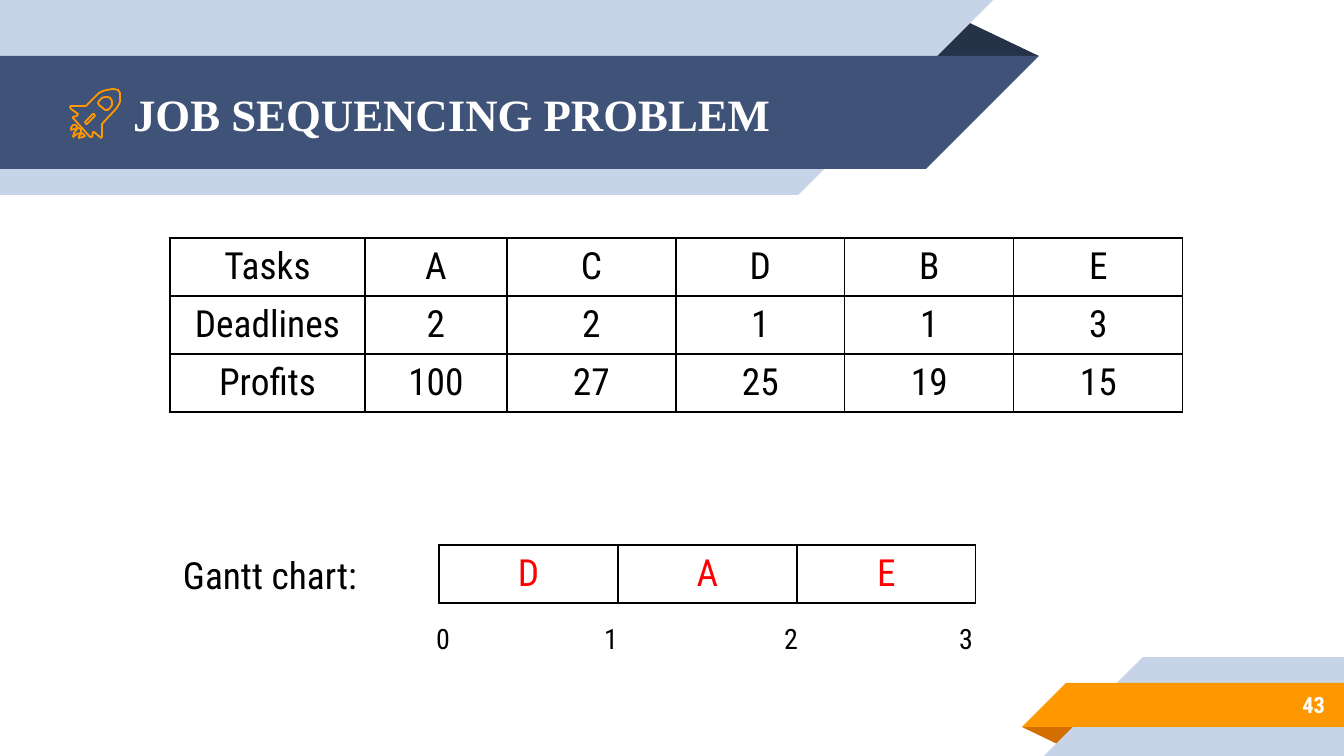
from dataclasses import dataclass

from lxml import etree
from pptx import Presentation
from pptx.dml.color import RGBColor
from pptx.enum.shapes import MSO_SHAPE
from pptx.enum.text import MSO_ANCHOR, MSO_AUTO_SIZE, PP_ALIGN
from pptx.oxml.ns import qn
from pptx.shapes.autoshape import Shape
from pptx.slide import Slide
from pptx.text.text import TextFrame
from pptx.util import Pt

RECTANGLE, TRIANGLE = MSO_SHAPE.RECTANGLE, MSO_SHAPE.ISOSCELES_TRIANGLE
RIGHT_TRIANGLE = MSO_SHAPE.RIGHT_TRIANGLE
LEFT, CENTER, RIGHT = PP_ALIGN.LEFT, PP_ALIGN.CENTER, PP_ALIGN.RIGHT
TOP, MIDDLE = MSO_ANCHOR.TOP, MSO_ANCHOR.MIDDLE

BLACK = RGBColor(0x00, 0x00, 0x00)
WHITE = RGBColor(0xFF, 0xFF, 0xFF)
RED = RGBColor(0xFF, 0x00, 0x00)
PALE_BLUE = RGBColor(0xC7, 0xD3, 0xE6)
NAVY = RGBColor(0x3F, 0x53, 0x78)
DARK_NAVY = RGBColor(0x26, 0x32, 0x48)
ORANGE = RGBColor(0xFF, 0x98, 0x00)
DARK_ORANGE = RGBColor(0xD2, 0x6F, 0x00)

BODY_FONT, TITLE_FONT = "Roboto Condensed", "Times New Roman"
EMU_PER_PX = 9144000 / 1344
INSET = 13
ROW_HEIGHT = 58
TITLE_ONLY = 5


@dataclass(frozen=True)
class Box:
    left: int
    top: int
    width: int
    height: int


@dataclass(frozen=True)
class Ribbon:
    """A band whose slanted end is a right triangle as wide as it is high."""
    box: Box
    color: RGBColor
    slant_on_right: bool


@dataclass(frozen=True)
class Fold:
    box: Box
    color: RGBColor
    rotation: int


@dataclass(frozen=True)
class TextStyle:
    size: int
    color: RGBColor = BLACK
    font: str = BODY_FONT
    bold: bool = False
    align: PP_ALIGN = LEFT


TITLE_FOLD = Fold(Box(925, 19, 114, 37), DARK_NAVY, 0)
TITLE_RIBBONS = [
    Ribbon(Box(0, 0, 798, 195), PALE_BLUE, True),
    Ribbon(Box(0, 56, 926, 113), NAVY, True),
]
CORNER_FOLD = Fold(Box(1022, 727, 58, 19), DARK_ORANGE, 180)
CORNER_RIBBONS = [
    Ribbon(Box(1143, 657, 201, 99), PALE_BLUE, False),
    Ribbon(Box(1066, 683, 278, 44), ORANGE, False),
]

# Each rocket part is a list of closed contours
Contour = list[tuple[int, int]]
ROCKET_PARTS: list[list[Contour]] = [
    [  # body, slot and window
        [(102, 137), (102, 124), (116, 109), (118, 106), (120, 102), (120, 93),
         (118, 90), (113, 89), (107, 90), (103, 91), (99, 93), (86, 106),
         (71, 106), (70, 107), (71, 109), (78, 114), (77, 116), (73, 117),
         (73, 118), (90, 137), (92, 137), (93, 132), (94, 132), (101, 138)],
        [(87, 124), (86, 124), (85, 122), (86, 121), (93, 114), (94, 114),
         (95, 116), (94, 117)],
        [(108, 110), (105, 110), (99, 105), (98, 103), (99, 101), (102, 98),
         (105, 97), (108, 97), (110, 98), (112, 101), (112, 105), (110, 108)],
    ],
    # flames
    [[(81, 129), (78, 128), (77, 129), (74, 133), (73, 137), (77, 134),
      (81, 133), (81, 130)]],
    [[(83, 134), (82, 133), (81, 134), (79, 136), (79, 138), (83, 137), (85, 136)]],
    [[(75, 125), (73, 125), (71, 128), (71, 130), (75, 129), (77, 128), (77, 126)]],
]

TASK_ROWS = [
    ["Tasks", "A", "C", "D", "B", "E"],
    ["Deadlines", "2", "2", "1", "1", "3"],
    ["Profits", "100", "27", "25", "19", "15"],
]
# The schedule is stacked from an empty frame and one layer per job
GANTT_LAYERS = [["", "", ""], ["", "A", ""], ["D", "", ""], ["", "", "E"]]
TICK_STOPS = (168, 348, 523)


def px(length: int) -> int:
    return round(length * EMU_PER_PX)


def place(box: Box) -> tuple[int, int, int, int]:
    return px(box.left), px(box.top), px(box.width), px(box.height)


def add_solid(slide: Slide, kind: MSO_SHAPE, box: Box, color: RGBColor,
              rotation: int = 0) -> Shape:
    shape = slide.shapes.add_shape(kind, *place(box))
    shape.shadow.inherit = False
    shape.fill.solid()
    shape.fill.fore_color.rgb = color
    shape.line.fill.background()
    shape.rotation = rotation
    return shape


def add_fold(slide: Slide, fold: Fold) -> None:
    add_solid(slide, TRIANGLE, fold.box, fold.color, fold.rotation).adjustments[0] = 0.32


def add_ribbon(slide: Slide, ribbon: Ribbon) -> None:
    box, side = ribbon.box, ribbon.box.height
    add_solid(slide, RECTANGLE, box, ribbon.color)
    left = box.left + box.width if ribbon.slant_on_right else box.left - side
    rotation = 90 if ribbon.slant_on_right else 270
    add_solid(slide, RIGHT_TRIANGLE, Box(left, box.top, side, side), ribbon.color, rotation)


def add_outline(slide: Slide, contours: list[Contour]) -> None:
    builder = slide.shapes.build_freeform(*contours[0][0], scale=EMU_PER_PX)
    for index, contour in enumerate(contours):
        if index:
            builder.move_to(*contour[0])
        builder.add_line_segments(contour[1:], close=True)
    shape = builder.convert_to_shape()
    shape.shadow.inherit = False
    shape.fill.background()
    shape.line.color.rgb = ORANGE
    shape.line.width = Pt(0.96)


def write(frame: TextFrame, text: str, style: TextStyle, tab_stops: tuple[int, ...] = ()) -> None:
    paragraph = frame.paragraphs[0]
    paragraph.text = text
    paragraph.alignment = style.align
    if tab_stops:
        tabs = etree.SubElement(paragraph._p.get_or_add_pPr(), qn("a:tabLst"))
        for stop in tab_stops:
            etree.SubElement(tabs, qn("a:tab"), pos=str(px(stop)), algn="l")
    font = paragraph.font
    font.name, font.size, font.bold = style.font, Pt(style.size), style.bold
    font.color.rgb = style.color


def set_frame(frame: TextFrame, anchor: MSO_ANCHOR, inset: int) -> None:
    frame.word_wrap = True
    frame.auto_size = MSO_AUTO_SIZE.NONE
    frame.vertical_anchor = anchor
    frame.margin_left = frame.margin_right = px(INSET)
    frame.margin_top = frame.margin_bottom = px(inset)


def add_text(slide: Slide, box: Box, text: str, style: TextStyle, anchor: MSO_ANCHOR = TOP,
             inset: int = 7, tab_stops: tuple[int, ...] = ()) -> None:
    frame = slide.shapes.add_textbox(*place(box)).text_frame
    set_frame(frame, anchor, inset)
    write(frame, text, style, tab_stops)


def add_grid(slide: Slide, left: int, top: int, widths: list[int],
             rows: list[list[str]], style: TextStyle) -> None:
    box = Box(left, top, sum(widths), ROW_HEIGHT * len(rows))
    table = slide.shapes.add_table(len(rows), len(widths), *place(box)).table
    table.first_row = table.horz_banding = False
    for column, width in zip(table.columns, widths):
        column.width = px(width)
    for row, texts in zip(table.rows, rows):
        for cell, text in zip(row.cells, texts):
            if text:
                write(cell.text_frame, text, style)
            cell.fill.background()
            properties = cell._tc.get_or_add_tcPr()
            for index, edge in enumerate(("a:lnL", "a:lnR", "a:lnT", "a:lnB")):
                line = etree.Element(qn(edge), w=str(Pt(0.75)))
                fill = etree.SubElement(line, qn("a:solidFill"))
                etree.SubElement(fill, qn("a:srgbClr"), val=str(BLACK))
                properties.insert(index, line)


def main() -> None:
    presentation = Presentation()
    presentation.slide_width, presentation.slide_height = px(1344), px(756)
    slide = presentation.slides.add_slide(presentation.slide_layouts[TITLE_ONLY])
    title = slide.shapes.title

    # Ribbons behind the title and the slide number
    for fold, ribbons in ((TITLE_FOLD, TITLE_RIBBONS), (CORNER_FOLD, CORNER_RIBBONS)):
        add_fold(slide, fold)
        for ribbon in ribbons:
            add_ribbon(slide, ribbon)

    # Title, moved in front of the ribbons
    slide.shapes._spTree.append(title._element)
    title.left, title.top, title.width, title.height = place(Box(120, 57, 832, 113))
    set_frame(title.text_frame, MIDDLE, INSET)
    write(title.text_frame, "JOB SEQUENCING PROBLEM", TextStyle(24, WHITE, TITLE_FONT, True))
    add_text(slide, Box(1119, 681, 219, 47), "43",
             TextStyle(12, WHITE, bold=True, align=RIGHT), MIDDLE, INSET)

    # Rocket icon
    for contours in ROCKET_PARTS:
        add_outline(slide, contours)

    # Task table
    add_grid(slide, 170, 238, [195, 142] + [169] * 4, TASK_ROWS, TextStyle(20, align=CENTER))

    # Gantt chart with its time scale
    add_text(slide, Box(170, 545, 214, 59), "Gantt chart:", TextStyle(20))
    add_text(slide, Box(423, 615, 586, 47), "0\t1\t2\t3", TextStyle(15), tab_stops=TICK_STOPS)
    for layer in GANTT_LAYERS:
        add_grid(slide, 439, 545, [179] * 3, [layer], TextStyle(20, RED, align=CENTER))

    presentation.save("out.pptx")


if __name__ == "__main__":
    main()
